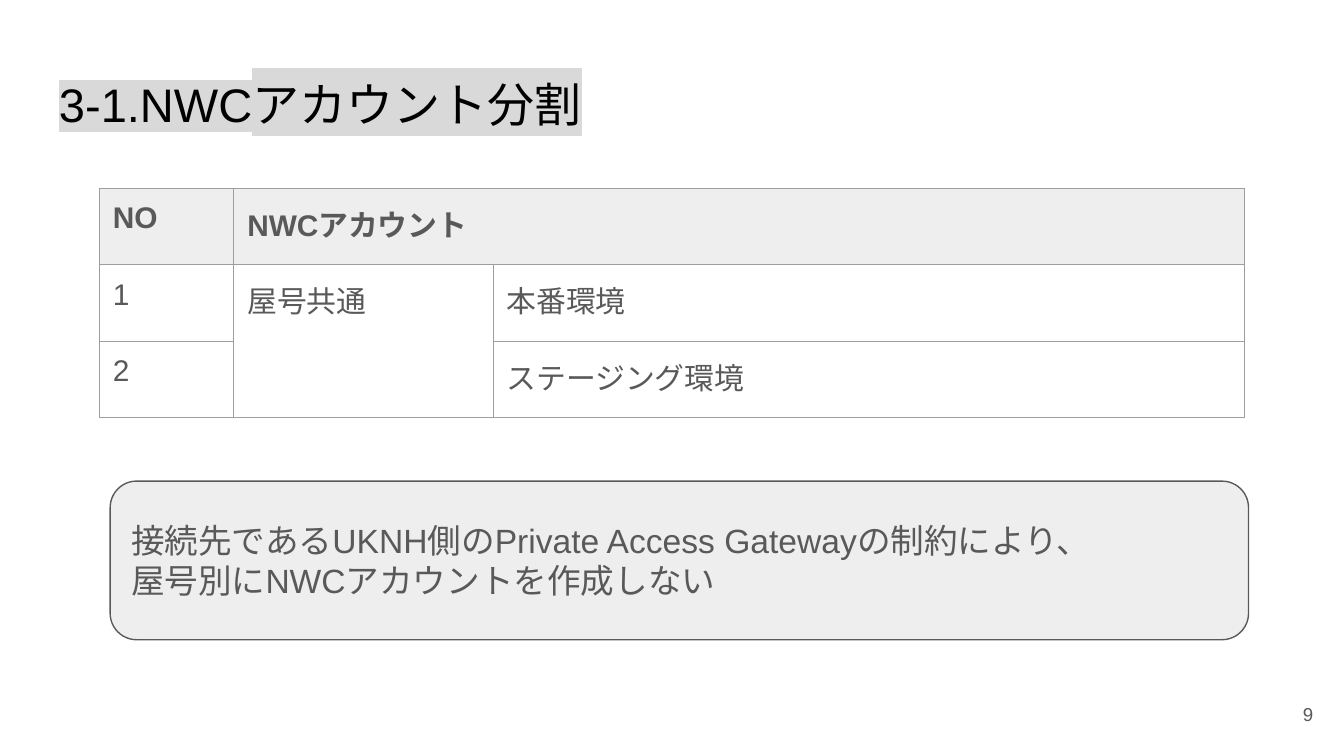
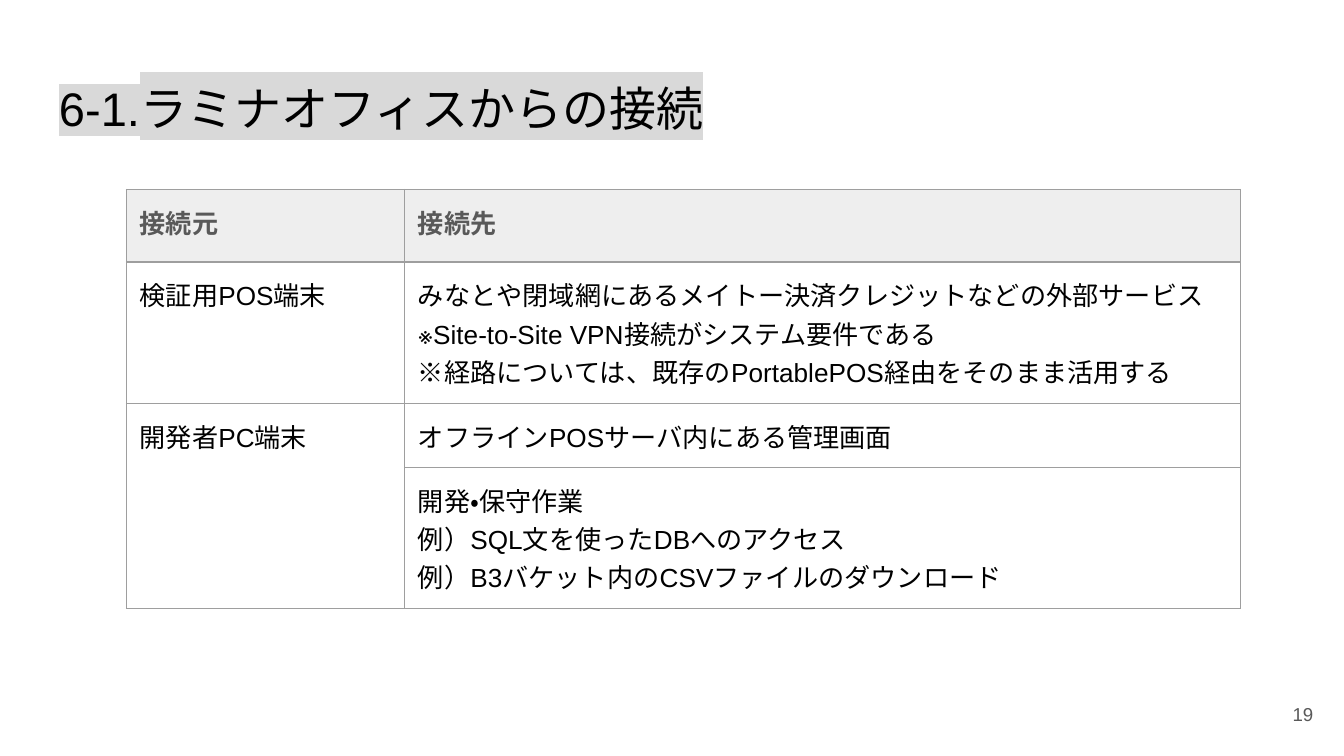
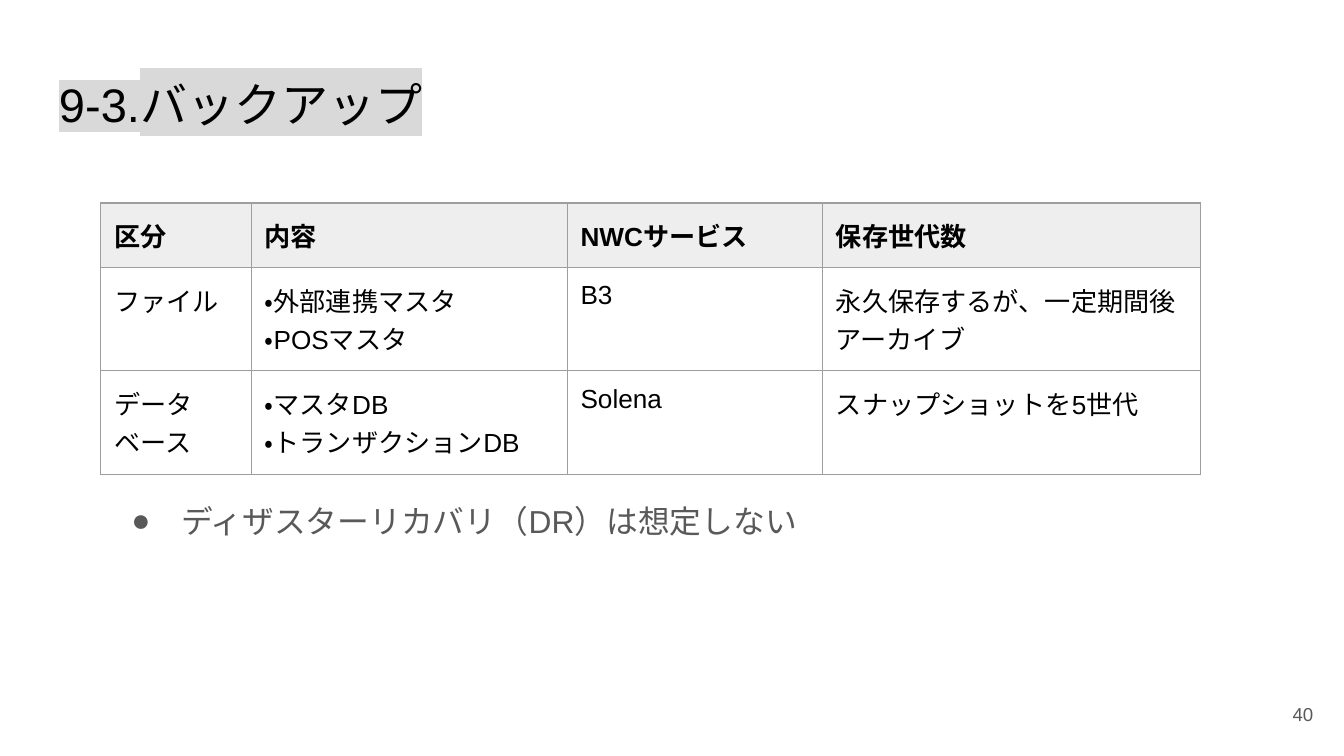
import dataclasses
from typing import Any, Optional

import lxml.etree
import pptx
import pptx.dml.color
import pptx.enum.lang
import pptx.enum.shapes
import pptx.enum.text
import pptx.oxml.ns
import pptx.util

Inches = pptx.util.Inches
qn = pptx.oxml.ns.qn

FONT = "Arial"
BLACK = "000000"
GRAY = "595959"
PALE = "EEEEEE"
HIGHLIGHT = "D9D9D9"
BORDER = "9E9E9E"
INSET = 0.1
LINE_WIDTH = 0.75


@dataclasses.dataclass(frozen=True)
class Box:
    """Place and size in inches."""

    left: float
    top: float
    width: float
    height: float

    def lengths(self) -> tuple:
        """Return the four lengths for a shape call."""
        return tuple(Inches(v) for v in dataclasses.astuple(self))


@dataclasses.dataclass(frozen=True)
class Grid:
    """A table whose first row is its header; None continues a merged cell."""

    left: float
    top: float
    columns: list[float]
    row_heights: list[float]
    rows: list[list[Optional[str]]]
    size: float
    header_color: str
    body_color: str
    merges: tuple = ()

    def box(self) -> Box:
        """Return the area that the columns and rows cover."""
        return Box(self.left, self.top, sum(self.columns), sum(self.row_heights))


@dataclasses.dataclass(frozen=True)
class Page:
    """One slide: heading, number and table."""

    heading: str
    number: int
    grid: Grid
    heading_top: float = 0.46


ACCOUNTS = Page("3-1.NWCアカウント分割", 9, Grid(
    0.74, 1.4, [1, 1.93, 5.59], [0.57] * 3,
    [
        ["NO", "NWCアカウント", None],
        ["1", "屋号共通", "本番環境"],
        ["2", None, "ステージング環境"],
    ],
    16, GRAY, GRAY, (((0, 1), (0, 2)), ((1, 1), (2, 1))),
))

OFFICE = Page("6-1.ラミナオフィスからの接続", 19, Grid(
    0.94, 1.41, [2.07, 6.22], [0.54, 1.05, 0.48, 1.05],
    [
        ["接続元", "接続先"],
        ["検証用POS端末",
         "みなとや閉域網にあるメイトー決済クレジットなどの外部サービス\n"
         "※Site-to-Site VPN接続がシステム要件である\n"
         "※経路については、既存のPortablePOS経由をそのまま活用する"],
        ["開発者PC端末", "オフラインPOSサーバ内にある管理画面"],
        [None,
         "開発・保守作業\n"
         "例）SQL文を使ったDBへのアクセス\n"
         "例）B3バケット内のCSVファイルのダウンロード"],
    ],
    14, GRAY, BLACK, (((2, 0), (3, 0)),),
), heading_top=0.49)

BACKUP = Page("9-3.バックアップ", 40, Grid(
    0.75, 1.51, [1.12, 2.35, 1.9, 2.81], [0.48, 0.77, 0.77],
    [
        ["区分", "内容", "NWCサービス", "保存世代数"],
        ["ファイル", "・外部連携マスタ\n・POSマスタ", "B3",
         "永久保存するが、一定期間後アーカイブ"],
        ["データベース", "・マスタDB\n・トランザクションDB", "Solena",
         "スナップショットを5世代"],
    ],
    14, BLACK, BLACK,
))


def rgb(value: str) -> pptx.dml.color.RGBColor:
    """Turn a hex string into a colour."""
    return pptx.dml.color.RGBColor.from_string(value)


def add_color(parent: Any, tag: str, value: str) -> Any:
    """Append an element that holds one colour."""
    holder = lxml.etree.SubElement(parent, qn(tag))
    lxml.etree.SubElement(holder, qn("a:srgbClr"), val=value)
    return holder


def add_bullet(paragraph: Any, color: str) -> None:
    """Give a paragraph a round bullet with a hanging indent."""
    properties = paragraph._p.get_or_add_pPr()
    properties.set("marL", str(Inches(0.5)))
    properties.set("indent", str(Inches(-0.37)))
    add_color(properties, "a:buClr", color)
    lxml.etree.SubElement(properties, qn("a:buFont"), typeface=FONT)
    lxml.etree.SubElement(properties, qn("a:buChar"), char="●")


def set_margins(holder: Any) -> None:
    """Give a text frame or cell the shared inset."""
    for side in ("left", "right", "top", "bottom"):
        setattr(holder, f"margin_{side}", Inches(INSET))


def write(frame: Any, text: str, *, size: float, color: str = GRAY, bold: bool = False,
          align: str = "LEFT", spacing: Optional[float] = None,
          highlight: Optional[str] = None, bullet: bool = False) -> None:
    """Fill a text frame, one paragraph for each line of text."""
    for index, line in enumerate(text.split("\n")):
        paragraph = frame.add_paragraph() if index else frame.paragraphs[0]
        if bullet:
            add_bullet(paragraph, color)
        paragraph.alignment = getattr(pptx.enum.text.PP_ALIGN, align)
        if spacing:
            paragraph.line_spacing = spacing
        run = paragraph.add_run()
        run.text = line
        font = run.font
        font.size = pptx.util.Pt(size)
        font.bold = bold
        font.color.rgb = rgb(color)
        font.language_id = pptx.enum.lang.MSO_LANGUAGE_ID.JAPANESE
        font.name = FONT
        if highlight:
            properties = run._r.get_or_add_rPr()
            mark = add_color(properties, "a:highlight", highlight)
            properties.find(qn("a:latin")).addprevious(mark)


def fill_shape(shape: Any, text: str, *, anchor: str = "TOP", **style: Any) -> None:
    """Lay out and write the text of a shape."""
    frame = shape.text_frame
    frame.word_wrap = True
    frame.vertical_anchor = getattr(pptx.enum.text.MSO_ANCHOR, anchor)
    set_margins(frame)
    write(frame, text, **style)


def add_text(slide: Any, box: Box, text: str, **style: Any) -> None:
    """Add a text box."""
    fill_shape(slide.shapes.add_textbox(*box.lengths()), text, **style)


def add_borders(cell: Any) -> None:
    """Draw the four sides of a cell."""
    properties = cell._tc.get_or_add_tcPr()
    for tag in ("a:lnL", "a:lnR", "a:lnT", "a:lnB"):
        side = lxml.etree.SubElement(properties, qn(tag), w=str(pptx.util.Pt(LINE_WIDTH)))
        add_color(side, "a:solidFill", BORDER)


def add_grid(slide: Any, grid: Grid) -> None:
    """Add a table with a shaded header row."""
    table = slide.shapes.add_table(
        len(grid.rows), len(grid.columns), *grid.box().lengths()).table
    table.first_row = table.horz_banding = False
    for column, width in zip(table.columns, grid.columns):
        column.width = Inches(width)
    for row, height in zip(table.rows, grid.row_heights):
        row.height = Inches(height)
    for r, texts in enumerate(grid.rows):
        header = r == 0
        for c, text in enumerate(texts):
            cell = table.cell(r, c)
            add_borders(cell)
            set_margins(cell)
            if header:
                cell.fill.solid()
                cell.fill.fore_color.rgb = rgb(PALE)
            else:
                cell.fill.background()
            if text is not None:
                write(cell.text_frame, text, size=grid.size, bold=header,
                      color=grid.header_color if header else grid.body_color)
    for start, end in grid.merges:
        table.cell(*start).merge(table.cell(*end))


def add_callout(slide: Any, box: Box, text: str) -> None:
    """Add a rounded panel with a remark."""
    panel = slide.shapes.add_shape(
        pptx.enum.shapes.MSO_SHAPE.ROUNDED_RECTANGLE, *box.lengths())
    panel.shadow.inherit = False
    panel.fill.solid()
    panel.fill.fore_color.rgb = rgb(PALE)
    panel.line.color.rgb = rgb(GRAY)
    panel.line.width = pptx.util.Pt(LINE_WIDTH)
    fill_shape(panel, text, size=18, anchor="MIDDLE")


def add_page(deck: Any, page: Page) -> Any:
    """Add a slide with its heading, number and table."""
    slide = deck.slides.add_slide(deck.slide_layouts[6])
    add_text(slide, Box(0.34, page.heading_top, 9.32, 0.63), page.heading,
             size=25.2, color=BLACK, highlight=HIGHLIGHT)
    add_text(slide, Box(9.27, 5.1, 0.6, 0.43), str(page.number),
             size=10, align="RIGHT", anchor="MIDDLE")
    add_grid(slide, page.grid)
    return slide


def main() -> None:
    """Build and save the deck."""
    deck = pptx.Presentation()
    deck.slide_width = Inches(10)
    deck.slide_height = deck.slide_width * 9 // 16
    accounts = add_page(deck, ACCOUNTS)
    add_callout(accounts, Box(0.82, 3.58, 8.47, 1.18),
                "接続先であるUKNH側のPrivate Access Gatewayの制約により、\n"
                "屋号別にNWCアカウントを作成しない")
    add_page(deck, OFFICE)
    backup = add_page(deck, BACKUP)
    add_text(backup, Box(0.75, 3.59, 7.45, 1.41),
             "ディザスターリカバリ（DR）は想定しない", size=17, spacing=1.15, bullet=True)
    deck.save("out.pptx")


if __name__ == "__main__":
    main()
